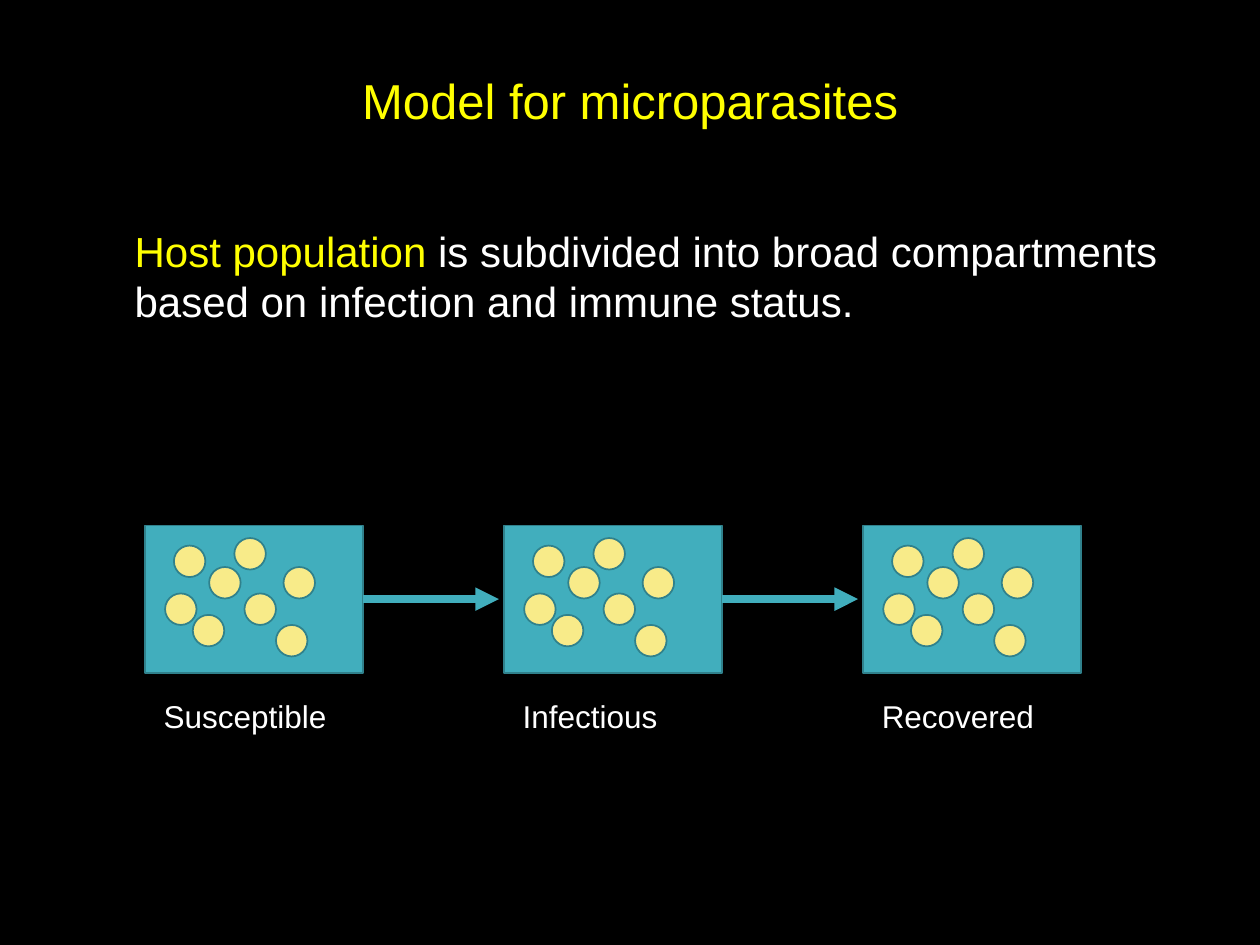
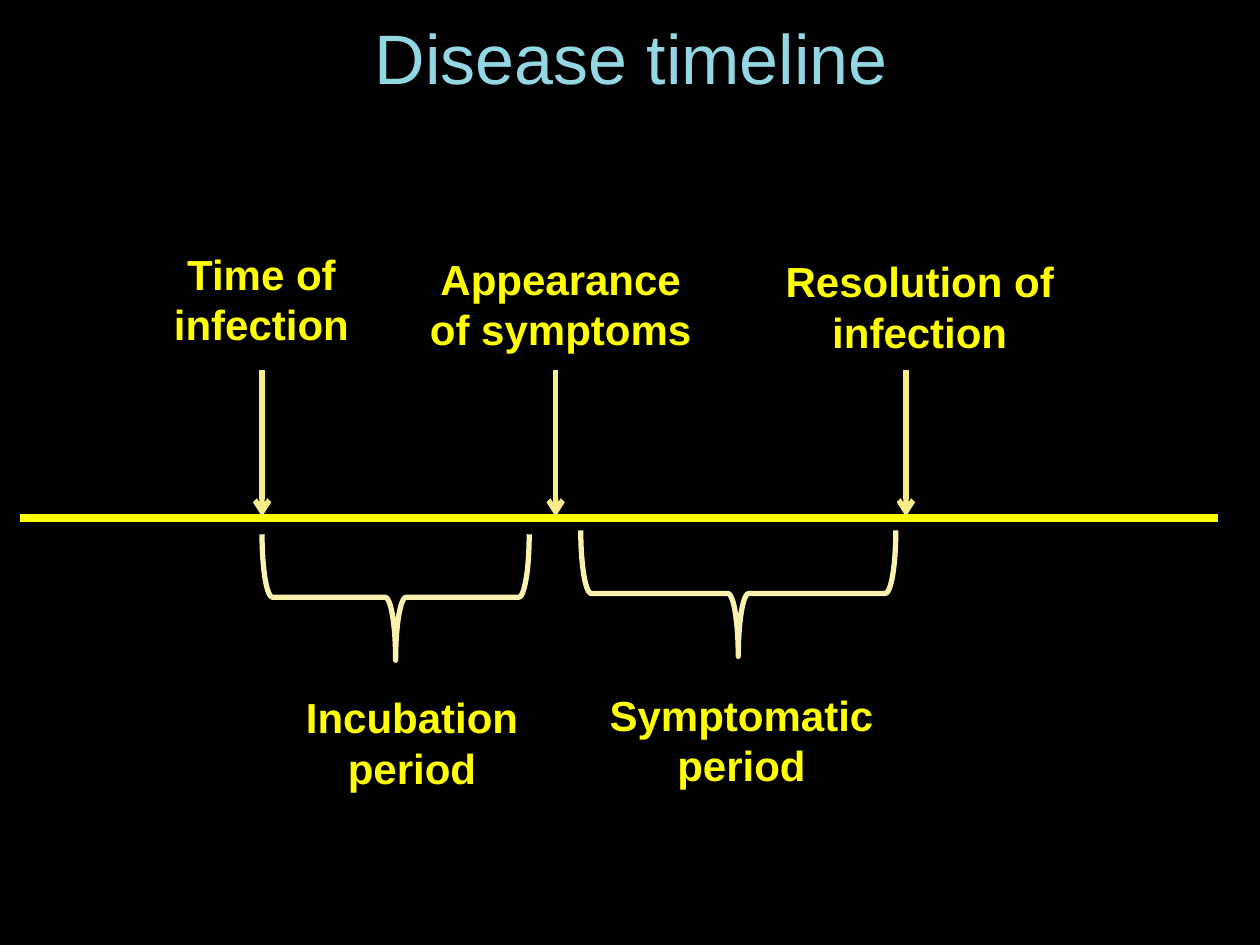
from pptx import Presentation
from pptx.dml.color import RGBColor
from pptx.enum import shapes, text
from pptx.oxml import parse_xml
from pptx.oxml.ns import nsdecls, qn
from pptx.util import Inches, Pt

COLORS = {
    "background": "000000", "yellow": "FFFF00", "white": "FFFFFF", "teal": "41AEBD",
    "outline": "30818C", "cell": "F8EB89", "brace": "FBF2B0", "sky": "94D7E4",
}
FONT = "Arial"
STAGE_SIZE = (1.73, 1.17)
STAGE_PITCH = 2.85
HOST_SIZE = 0.25
HOST_OFFSETS = [(0.23, 0.16), (0.16, 0.54), (0.51, 0.33), (0.71, 0.1),
                (0.38, 0.71), (1.1, 0.33), (0.79, 0.54), (1.04, 0.79)]
TIMELINE_TOP = 4.11


def color(name):
    """Return the palette colour with this name."""
    return RGBColor.from_string(COLORS[name])


def add_slide(presentation):
    """Add a blank slide with the shared background."""
    slide = presentation.slides.add_slide(presentation.slide_layouts[6])
    slide.background.fill.solid()
    slide.background.fill.fore_color.rgb = color("background")
    return slide


def add_text(slide, box, runs, size, bold=False, align=text.PP_ALIGN.LEFT,
             anchor=text.MSO_ANCHOR.TOP, spacing=1.0):
    """Write one paragraph of (wording, colour) runs in a box."""
    frame = slide.shapes.add_textbox(*map(Inches, box)).text_frame
    frame.word_wrap = True
    frame.vertical_anchor = anchor
    paragraph = frame.paragraphs[0]
    paragraph.alignment = align
    paragraph.line_spacing = spacing
    for wording, tint in runs:
        run = paragraph.add_run()
        run.text = wording
        for attribute, value in {"name": FONT, "size": Pt(size), "bold": bold}.items():
            setattr(run.font, attribute, value)
        run.font.color.rgb = color(tint)


def add_title(slide, box, wording, tint, size, anchor, spacing=1.0):
    """Write the centred slide title."""
    add_text(slide, box, [(wording, tint)], size, align=text.PP_ALIGN.CENTER,
             anchor=anchor, spacing=spacing)


def add_caption(slide, box, wording):
    """Write a bold centred timeline caption."""
    add_text(slide, box, [(wording, "yellow")], 24, bold=True, align=text.PP_ALIGN.CENTER)


def add_outlined(slide, kind, box, fill, line, width):
    """Add a preset shape, left unfilled when fill is None."""
    shape = slide.shapes.add_shape(kind, *map(Inches, box))
    shape.shadow.inherit = False
    if fill:
        shape.fill.solid()
        shape.fill.fore_color.rgb = color(fill)
    else:
        shape.fill.background()
    shape.line.color.rgb = color(line)
    shape.line.width = Pt(width)
    return shape


def add_line(slide, start, end, tint, width, arrowhead=None):
    """Draw a straight line, with an arrowhead at its end if one is named."""
    line = slide.shapes.add_connector(shapes.MSO_CONNECTOR.STRAIGHT,
                                      *map(Inches, (*start, *end)))
    line.line.color.rgb = color(tint)
    line.line.width = Pt(width)
    properties = line._element.spPr
    if arrowhead:
        properties.find(qn("a:ln")).append(
            parse_xml(f'<a:tailEnd {nsdecls("a")} type="{arrowhead}"/>'))
    properties.append(parse_xml(f'<a:effectLst {nsdecls("a")}/>'))
    return line


def add_stage(slide, left, top, name):
    """Draw one compartment with its hosts and its label."""
    width, height = STAGE_SIZE
    compartment = add_outlined(slide, shapes.MSO_SHAPE.RECTANGLE,
                               (left, top, width, height), "teal", "outline", 1)
    for across, down in HOST_OFFSETS:
        add_outlined(slide, shapes.MSO_SHAPE.OVAL,
                     (left + across, top + down, HOST_SIZE, HOST_SIZE), "cell", "outline", 1)
    add_text(slide, (left + 0.05, top + 1.31, width, 0.4), [(name, "white")], 18)
    return compartment


def add_stages(slide, left, top, names):
    """Draw the compartments in a row, with an arrow from each to the next."""
    width, height = STAGE_SIZE
    middle = top + height / 2
    for index, name in enumerate(names):
        stage_left = left + index * STAGE_PITCH
        compartment = add_stage(slide, stage_left, top, name)
        if index < len(names) - 1:
            arrow = add_line(slide, (stage_left + width, middle),
                             (stage_left + STAGE_PITCH - 0.04, middle), "teal", 4.5, "triangle")
            arrow.begin_connect(compartment, 3)


def add_event(slide, position, box, wording):
    """Mark an event on the timeline with an arrow and a caption."""
    add_line(slide, (position, 2.94), (position, TIMELINE_TOP - 0.01), "cell", 3, "arrow")
    add_caption(slide, box, wording)


def add_period(slide, span, caption_box, wording):
    """Bracket a period with a downward brace over its caption."""
    left, top, width, height = span
    turned = (left + (width - height) / 2, top + (height - width) / 2, height, width)
    brace = add_outlined(slide, shapes.MSO_SHAPE.LEFT_BRACE, turned, None, "brace", 3)
    brace.rotation = 270
    add_caption(slide, caption_box, wording)


def build_model_slide(presentation):
    """Build the compartment model slide."""
    slide = add_slide(presentation)
    add_title(slide, (0.69, 0.4, 8.62, 0.85), "Model for microparasites", "yellow", 28,
              text.MSO_ANCHOR.MIDDLE, 0.9)
    add_text(slide, (0.97, 1.74, 8.62, 0.91),
             [("Host population ", "yellow"),
              ("is subdivided into broad compartments based on infection and immune status.",
               "white")], 24)
    add_stages(slide, 1.15, 4.17, ["Susceptible", "Infectious", "Recovered"])


def build_timeline_slide(presentation):
    """Build the disease timeline slide."""
    slide = add_slide(presentation)
    add_line(slide, (0.16, TIMELINE_TOP), (9.67, TIMELINE_TOP), "yellow", 4.5)
    for position, box, wording in [
        (2.08, (1.2, 1.92, 1.75, 0.91), "Time of infection"),
        (4.41, (3.2, 1.96, 2.5, 0.91), "Appearance of symptoms"),
        (7.19, (6.08, 1.98, 2.44, 0.91), "Resolution of infection"),
    ]:
        add_event(slide, position, box, wording)
    for span, box, wording in [
        ((2.08, 4.24, 2.12, 1), (2.08, 5.44, 2.38, 0.91), "Incubation period"),
        ((4.61, 4.21, 2.5, 1), (4.47, 5.42, 2.83, 0.91), "Symptomatic period"),
    ]:
        add_period(slide, span, box, wording)
    add_title(slide, (1.01, -0.17, 8, 1), "Disease timeline", "sky", 40,
              text.MSO_ANCHOR.BOTTOM)


def main():
    """Build and save the presentation."""
    presentation = Presentation()
    presentation.slide_width = Inches(10)
    presentation.slide_height = Inches(7.5)
    build_model_slide(presentation)
    build_timeline_slide(presentation)
    presentation.save("out.pptx")


if __name__ == "__main__":
    main()
